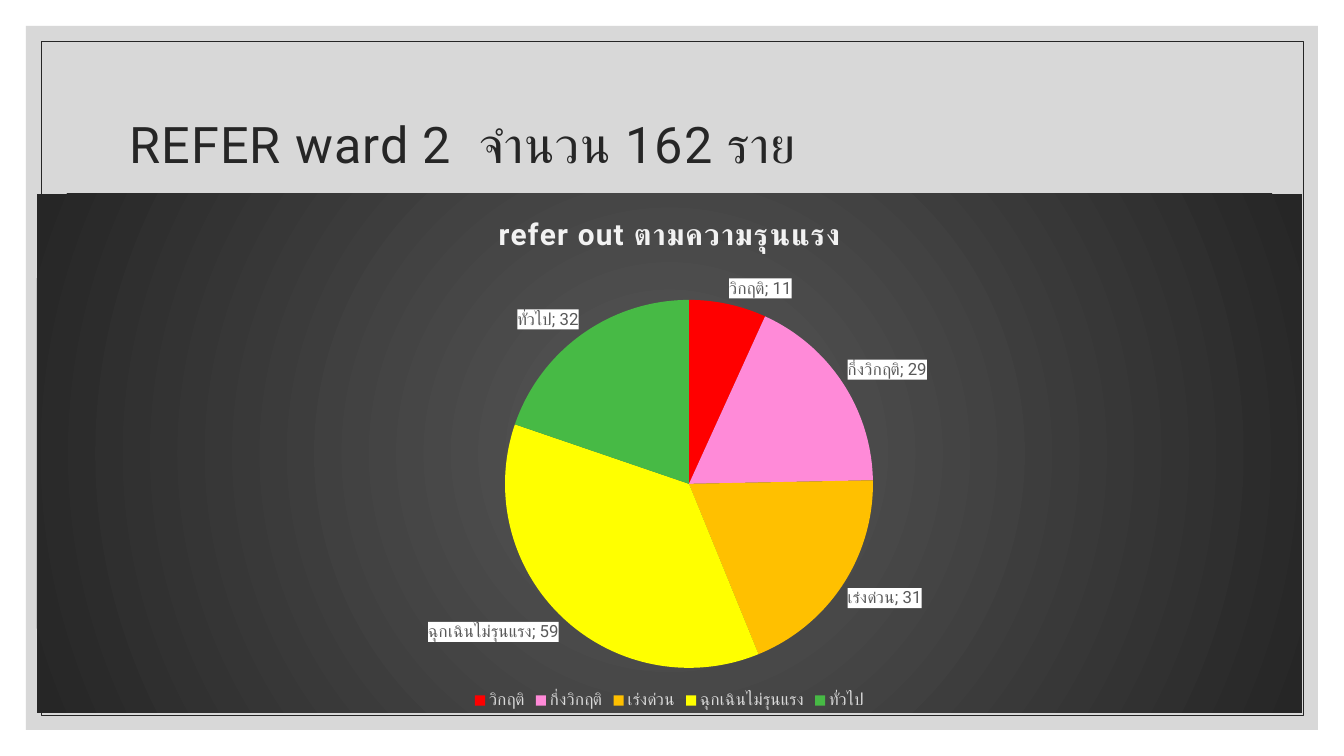
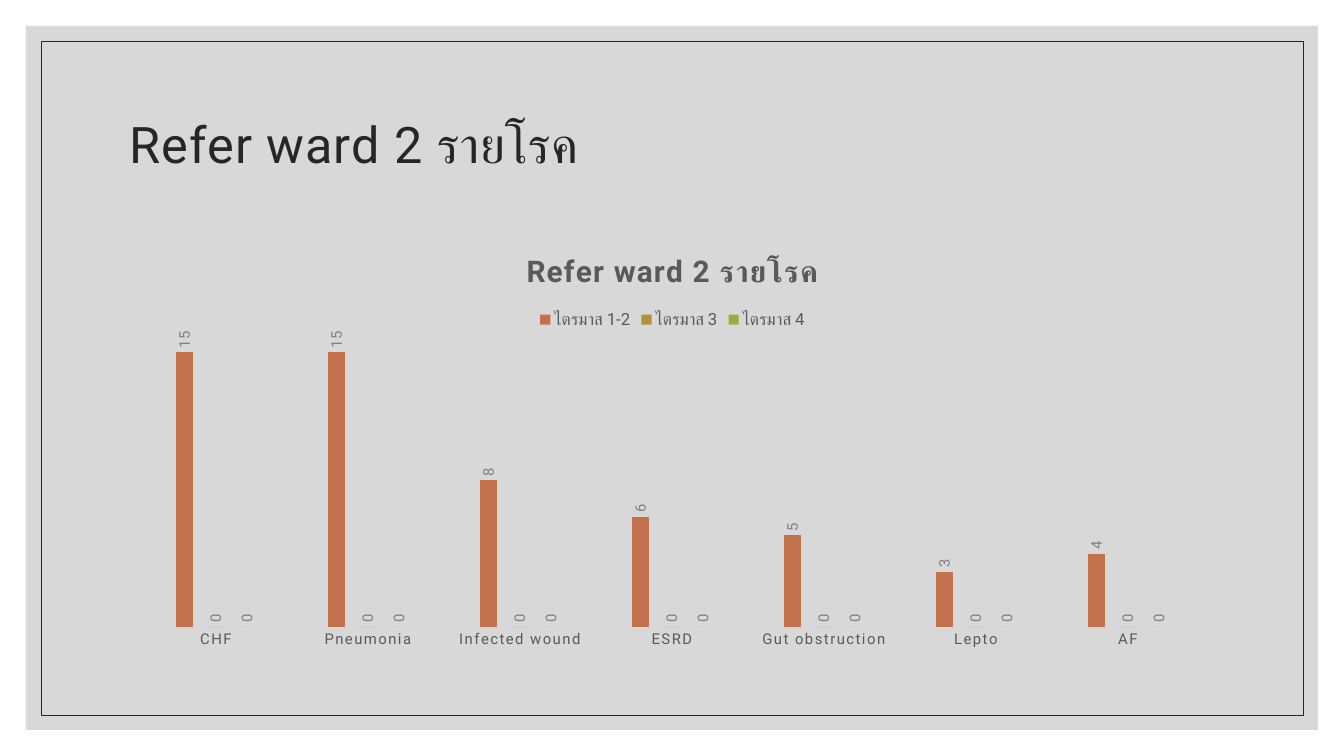
from pptx import Presentation
from pptx.chart.data import CategoryChartData
from pptx.dml.color import RGBColor
from pptx.enum.chart import XL_CHART_TYPE as ChartType
from pptx.enum.chart import XL_LABEL_POSITION as LabelPosition
from pptx.enum.chart import XL_LEGEND_POSITION as LegendPosition
from pptx.enum.chart import XL_TICK_MARK as TickMark
from pptx.enum.shapes import MSO_SHAPE as Preset
from pptx.enum.text import MSO_ANCHOR as Anchor
from pptx.enum.text import MSO_AUTO_SIZE as AutoSize
from pptx.enum.text import PP_ALIGN as Align
from pptx.oxml import parse_xml
from pptx.oxml.ns import nsdecls
from pptx.util import Emu, Pt

SCALE = 914400 / 100.8
FONT = "Roboto"
INK = "262626"
GREY = "595959"
PALE = "D9D9D9"
NAMESPACES = nsdecls("c", "a")
PAGE_BOX = (0, 0, 1344, 756)
TITLE_BOX = (118, 71, 1109, 151)
PIE_BOX = (37, 194, 1265, 519)
COLUMN_BOX = (118, 232, 1109, 424)

SEVERITIES = {
    "วิกฤติ": (11, "FF0000"),
    "กึ่งวิกฤติ": (29, "FF8AD8"),
    "เร่งด่วน": (31, "FFC000"),
    "ฉุกเฉินไม่รุนแรง": (59, "FFFF00"),
    "ทั่วไป": (32, "47BA45"),
}
DISEASES = ["CHF", "Pneumonia", "Infected wound", "ESRD", "Gut obstruction", "Lepto", "AF"]
QUARTERS = {
    "ไตรมาส 1-2": ([15, 15, 8, 6, 5, 3, 4], "C3724D"),
    "ไตรมาส 3": ([0] * 7, "B1923B"),
    "ไตรมาส 4": ([0] * 7, "9BAB43"),
}


def px(value):
    return Emu(round(value * SCALE))


def rgb(color):
    return RGBColor.from_string(color)


def set_font(font, size, color, bold=False):
    font.name = FONT
    font.size = Pt(size)
    font.bold = bold
    font.color.rgb = rgb(color)


def set_solid(fill, color):
    fill.solid()
    fill.fore_color.rgb = rgb(color)


def set_line(line, color, width):
    set_solid(line.fill, color)
    line.width = Pt(width)


def set_spacing(element, spacing):
    for properties in element.xpath(".//a:defRPr"):
        properties.set("spc", str(spacing))


def add_panel(slide, box, margin):
    left, top, width, height = box
    panel = slide.shapes.add_shape(
        Preset.RECTANGLE, px(left + margin), px(top + margin),
        px(width - 2 * margin), px(height - 2 * margin))
    panel.shadow.inherit = False
    return panel


def add_frame(slide, box):
    panel = add_panel(slide, box, 26)
    set_solid(panel.fill, "BFBFBF")
    panel.line.fill.background()
    color = panel.element.xpath("./p:spPr/a:solidFill/a:srgbClr")[0]
    color.append(parse_xml(f'<a:alpha {NAMESPACES} val="60000"/>'))
    border = add_panel(slide, box, 41)
    border.fill.background()
    set_line(border.line, INK, 0.5)


def place_title(slide, box, text):
    title = slide.shapes.title
    title.left, title.top, title.width, title.height = map(px, box)
    slide.shapes.element.append(title.element)
    frame = title.text_frame
    frame.text = text
    frame.word_wrap = True
    frame.auto_size = AutoSize.NONE
    frame.vertical_anchor = Anchor.MIDDLE
    frame.margin_left = frame.margin_right = frame.margin_top = px(12)
    frame.margin_bottom = px(10)
    paragraph = frame.paragraphs[0]
    paragraph.alignment = Align.LEFT
    paragraph.line_spacing = 0.9
    set_font(paragraph.font, 36, INK)
    set_spacing(title.element, 70)


def add_titled_slide(presentation, text):
    slide = presentation.slides.add_slide(presentation.slide_layouts[5])
    add_frame(slide, PAGE_BOX)
    place_title(slide, TITLE_BOX, text)
    return slide


def set_chart_fill(chart, fill):
    chart.element.xpath("./c:chart")[0].addnext(parse_xml(
        f"<c:spPr {NAMESPACES}>{fill}<a:ln><a:noFill/></a:ln></c:spPr>"))


def place_plot(chart, box, plot_box):
    left, top, width, height = box
    plot_left, plot_top, plot_width, plot_height = plot_box
    fractions = {
        "x": (plot_left - left) / width,
        "y": (plot_top - top) / height,
        "w": plot_width / width,
        "h": plot_height / height,
    }
    modes = '<c:layoutTarget val="inner"/><c:xMode val="edge"/><c:yMode val="edge"/>'
    sizes = "".join(f'<c:{name} val="{value:.4f}"/>' for name, value in fractions.items())
    area = chart.element.xpath("./c:chart/c:plotArea")[0]
    for layout in area.xpath("./c:layout"):
        area.remove(layout)
    area.insert(0, parse_xml(
        f"<c:layout {NAMESPACES}><c:manualLayout>{modes}{sizes}</c:manualLayout></c:layout>"))


def add_styled_chart(slide, box, kind, data, title, title_color, legend_position, legend_color):
    chart = slide.shapes.add_chart(kind, *map(px, box), data).chart
    set_font(chart.font, 10, "000000")
    chart.has_title = True
    frame = chart.chart_title.text_frame
    frame.text = title
    set_font(frame.paragraphs[0].font, 21.3, title_color, True)
    set_spacing(chart.element.xpath("./c:chart/c:title")[0], 100)
    chart.chart_title.include_in_layout = False
    chart.has_legend = True
    chart.legend.position = legend_position
    chart.legend.include_in_layout = False
    set_font(chart.legend.font, 12, legend_color)
    return chart


def label_series(series, size, color):
    labels = series.data_labels
    labels.show_value = True
    labels.position = LabelPosition.OUTSIDE_END
    set_font(labels.font, size, color)
    return labels


def add_severity_pie(slide, box):
    title = "refer out ตามความรุนแรง"
    data = CategoryChartData()
    data.categories = list(SEVERITIES)
    data.add_series(title, [count for count, color in SEVERITIES.values()])
    chart = add_styled_chart(slide, box, ChartType.PIE, data, title, "F2F2F2",
                             LegendPosition.BOTTOM, PALE)
    set_chart_fill(chart, (
        '<a:gradFill><a:gsLst>'
        f'<a:gs pos="0"><a:srgbClr val="{GREY}"/></a:gs>'
        f'<a:gs pos="100000"><a:srgbClr val="{INK}"/></a:gs></a:gsLst>'
        '<a:path path="circle"><a:fillToRect l="50000" t="50000" r="50000" b="50000"/></a:path>'
        '</a:gradFill>'))
    place_plot(chart, box, (505, 300, 368, 368))
    chart.plots[0].vary_by_categories = True
    series = chart.plots[0].series[0]
    for index, (count, color) in enumerate(SEVERITIES.values()):
        set_solid(series.points[index].format.fill, color)
    labels = label_series(series, 12, GREY)
    labels.show_category_name = True
    series_labels = chart.element.xpath(".//c:ser/c:dLbls")[0]
    series_labels.xpath("./c:txPr")[0].addprevious(parse_xml(
        f'<c:spPr {NAMESPACES}><a:solidFill><a:srgbClr val="FFFFFF"/></a:solidFill></c:spPr>'))
    series_labels.xpath("./c:showBubbleSize")[0].addnext(parse_xml(
        f"<c:separator {NAMESPACES}>; </c:separator>"))


def add_disease_columns(slide, box):
    data = CategoryChartData()
    data.categories = DISEASES
    for name, (counts, color) in QUARTERS.items():
        data.add_series(name, counts)
    chart = add_styled_chart(slide, box, ChartType.COLUMN_CLUSTERED, data,
                             "Refer ward 2 รายโรค", GREY, LegendPosition.TOP, GREY)
    set_chart_fill(chart, "<a:noFill/>")
    place_plot(chart, box, (140, 334, 1064, 293))
    plot = chart.plots[0]
    plot.vary_by_categories = False
    plot.gap_width = 444
    plot.overlap = -90
    for series, (counts, color) in zip(plot.series, QUARTERS.values()):
        set_solid(series.format.fill, color)
        label_series(series, 10.6, "808080")
    for body in chart.element.xpath(".//c:ser/c:dLbls/c:txPr/a:bodyPr"):
        body.set("rot", "-5400000")
        body.set("vert", "horz")
    value_axis = chart.value_axis
    value_axis.minimum_scale = 0
    value_axis.maximum_scale = 16
    value_axis.has_major_gridlines = False
    value_axis.visible = False
    category_axis = chart.category_axis
    category_axis.major_tick_mark = TickMark.NONE
    category_axis.has_major_gridlines = True
    for line in (category_axis.format.line, category_axis.major_gridlines.format.line):
        set_line(line, PALE, 0.75)
    set_font(category_axis.tick_labels.font, 10.6, GREY)
    set_spacing(chart.element.xpath(".//c:catAx")[0], 110)


def main():
    presentation = Presentation()
    presentation.slide_width, presentation.slide_height = map(px, PAGE_BOX[2:])
    severity_slide = add_titled_slide(presentation, "REFER ward 2  จำนวน 162 ราย")
    add_severity_pie(severity_slide, PIE_BOX)
    disease_slide = add_titled_slide(presentation, "Refer ward 2 รายโรค")
    add_disease_columns(disease_slide, COLUMN_BOX)
    presentation.save("out.pptx")


if __name__ == "__main__":
    main()
